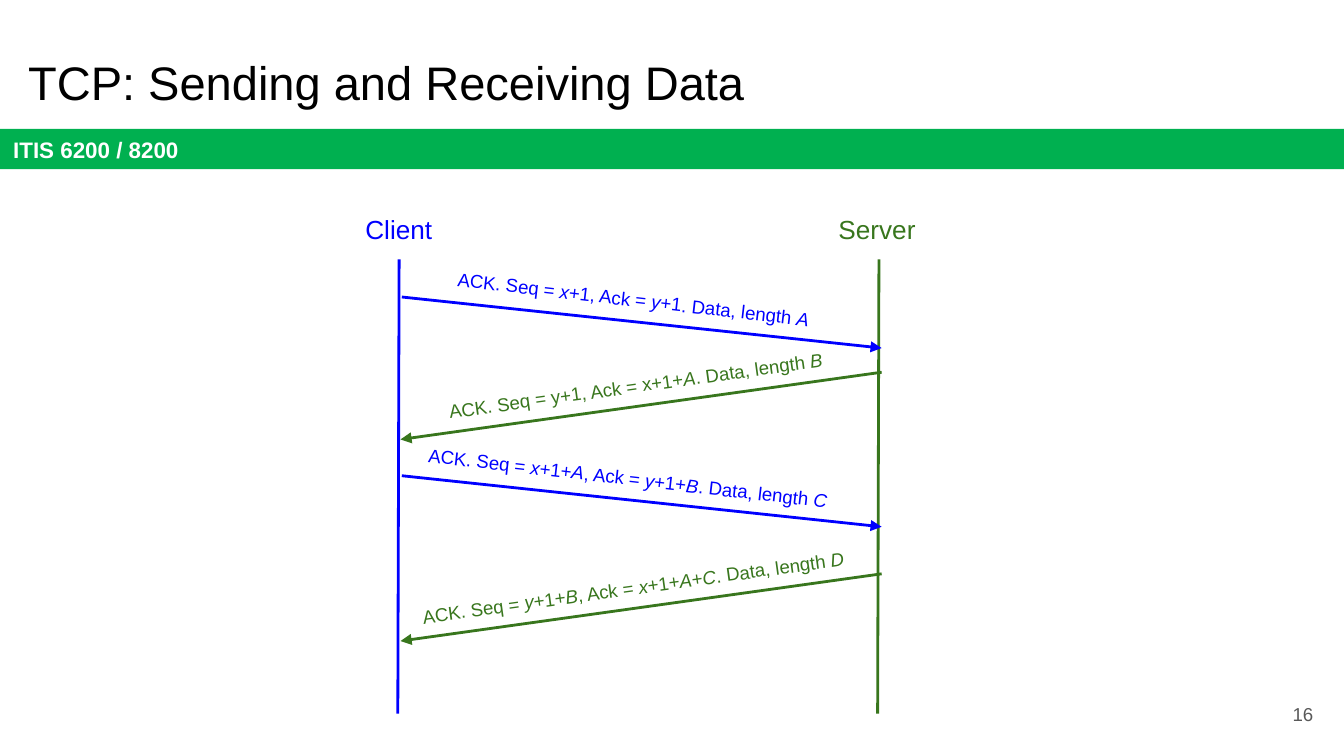
from dataclasses import dataclass

from lxml import etree
from pptx import Presentation
from pptx import util as u
from pptx.dml.color import RGBColor
from pptx.enum import shapes, text
from pptx.oxml import ns

BLACK = RGBColor(0x00, 0x00, 0x00)
WHITE = RGBColor(0xFF, 0xFF, 0xFF)
GREY = RGBColor(0x59, 0x59, 0x59)
BAND = RGBColor(0x00, 0xB0, 0x50)
BLUE = RGBColor(0x00, 0x00, 0xFF)
GREEN = RGBColor(0x38, 0x76, 0x1D)

FONT = "Arial"
W = 10
H = W * 9 / 16
LINE_TOP, LINE_BOTTOM = 1.93, 5.31
LABEL_H = 0.37
LEFT, CENTER, RIGHT = text.PP_ALIGN.LEFT, text.PP_ALIGN.CENTER, text.PP_ALIGN.RIGHT
TOP, MIDDLE = text.MSO_ANCHOR.TOP, text.MSO_ANCHOR.MIDDLE


@dataclass(frozen=True)
class Host:
    name: str
    color: RGBColor
    x: float          # top of the lifeline
    name_left: float
    name_w: float
    start_x: float    # arrows sent by this host
    end_x: float
    drop: float
    tilt: float
    lift: float       # label centre above arrow middle


@dataclass(frozen=True)
class Message:
    sender: Host
    y: float
    label_x: float    # label centre
    label_w: float
    label: str        # *...* marks italics


CLIENT = Host("Client", BLUE, 2.97, 2.62, 0.71, 2.99, 6.56, 0.38, 6.6, 0.17)
SERVER = Host("Server", GREEN, 6.54, 6.14, 0.78, 6.56, 2.98, 0.50, 352.1, 0.15)

MESSAGES = [
    Message(CLIENT, 2.21, 4.73, 3.51,
            "ACK. Seq = *x*+1, Ack = *y*+1. Data, length *A *"),
    Message(SERVER, 2.77, 4.73, 3.26,
            "ACK. Seq = y+1, Ack = x+1+*A*. Data, length *B*"),
    Message(CLIENT, 3.54, 4.69, 3.42,
            "ACK. Seq = *x*+1+*A*, Ack = *y*+1+*B*. Data, length *C *"),
    Message(SERVER, 4.27, 4.73, 3.62,
            "ACK. Seq = *y*+1+*B*, Ack = *x*+1+*A*+*C*. Data, length *D *"),
]


def write(sp, content: str, size: float, color: RGBColor, align=LEFT,
          anchor=TOP, bold: bool = False) -> None:
    tf = sp.text_frame
    tf.word_wrap = True
    tf.auto_size = text.MSO_AUTO_SIZE.NONE
    tf.vertical_anchor = anchor
    tf.margin_left = tf.margin_right = tf.margin_top = tf.margin_bottom = u.Inches(0.1)
    p = tf.paragraphs[0]
    p.alignment = align
    for i, part in enumerate(content.split("*")):
        if part:
            r = p.add_run()
            r.text = part
            r.font.name, r.font.size = FONT, u.Pt(size)
            r.font.bold, r.font.italic = bold, i % 2 == 1
            r.font.color.rgb = color


def add_text(s, left: float, top: float, width: float, height: float,
             content: str, size: float, color: RGBColor, **style):
    sp = s.shapes.add_textbox(*map(u.Inches, (left, top, width, height)))
    write(sp, content, size, color, **style)
    return sp


def add_line(s, x1: float, y1: float, x2: float, y2: float,
             color: RGBColor, arrow: bool = False) -> None:
    line = s.shapes.add_connector(shapes.MSO_CONNECTOR.STRAIGHT,
                                  *map(u.Inches, (x1, y1, x2, y2)))
    line.line.color.rgb = color
    line.line.width = u.Pt(1.5)
    if arrow:
        ln = line.line._get_or_add_ln()
        etree.SubElement(ln, ns.qn("a:tailEnd"), type="triangle")
    etree.SubElement(line._element.spPr, ns.qn("a:effectLst"))


def add_host(s, host: Host) -> None:
    add_text(s, host.name_left, 1.49, host.name_w, 0.44, host.name, 14, host.color)
    add_line(s, host.x, LINE_TOP, host.x - 0.01, LINE_BOTTOM, host.color)


def add_message(s, m: Message) -> None:
    host = m.sender
    add_line(s, host.start_x, m.y, host.end_x, m.y + host.drop, host.color, arrow=True)
    center_y = m.y + host.drop / 2 - host.lift
    sp = add_text(s, m.label_x - m.label_w / 2, center_y - LABEL_H / 2,
                  m.label_w, LABEL_H, m.label, 10, host.color, align=CENTER)
    sp.rotation = host.tilt


prs = Presentation()
prs.slide_width, prs.slide_height = u.Inches(W), u.Inches(H)
s = prs.slides.add_slide(prs.slide_layouts[5])

# Title
title = s.shapes.title
title.left, title.top, title.width, title.height = map(u.Inches, (0.11, 0.3, 9.32, 0.63))
write(title, "TCP: Sending and Receiving Data", 25.2, BLACK)

# Course band
band = s.shapes.add_shape(shapes.MSO_SHAPE.RECTANGLE,
                          *map(u.Inches, (0, 0.96, W, 0.3)))
band.shadow.inherit = False
band.fill.solid()
band.fill.fore_color.rgb = BAND
band.line.fill.background()
write(band, "ITIS 6200 / 8200", 12, WHITE, anchor=MIDDLE, bold=True)

# Slide number
add_text(s, 9.27, 5.1, 0.6, 0.43, "16", 10, GREY, align=RIGHT, anchor=MIDDLE)

# Sequence diagram
for host in (CLIENT, SERVER):
    add_host(s, host)
for message in MESSAGES:
    add_message(s, message)

prs.save("out.pptx")
